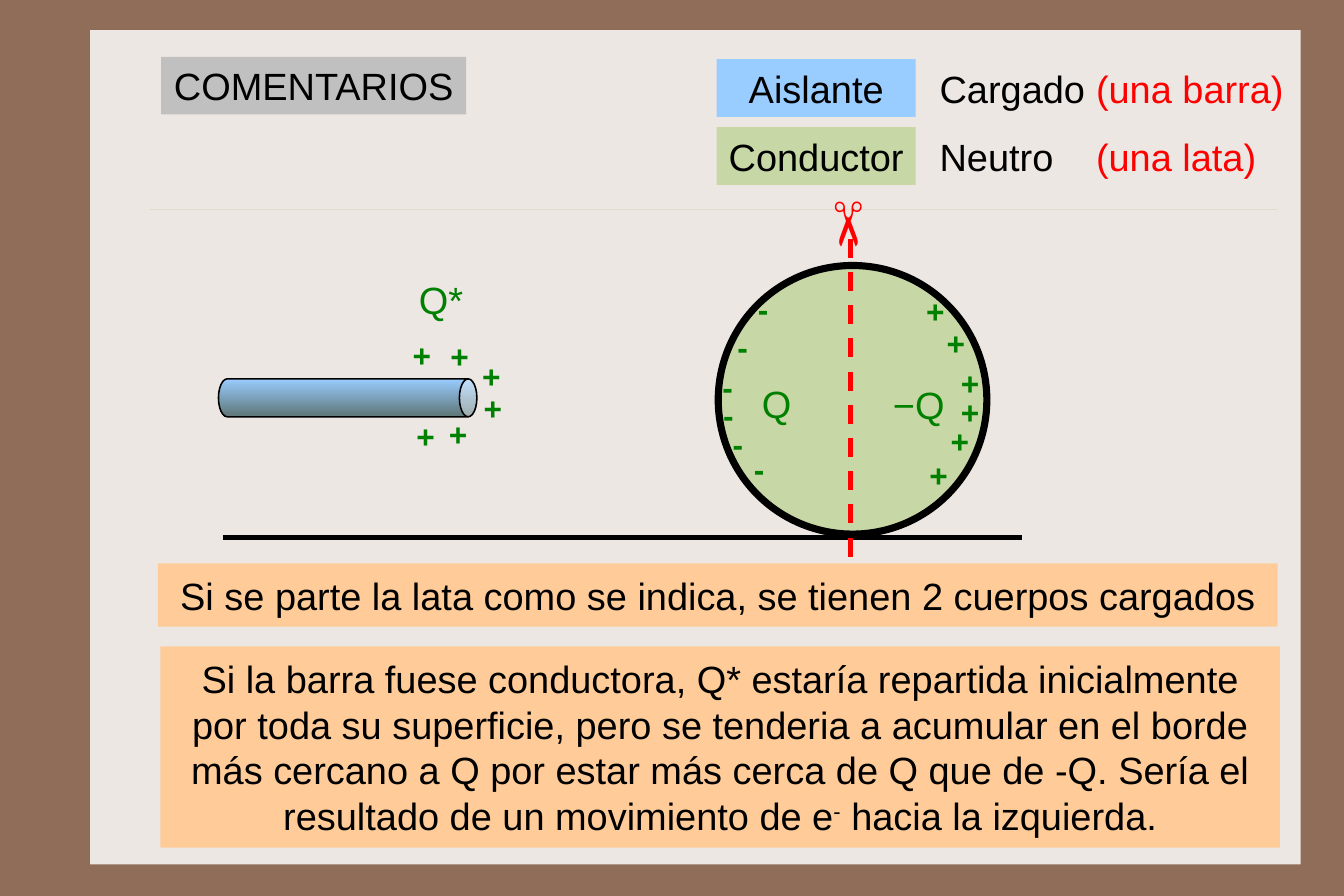
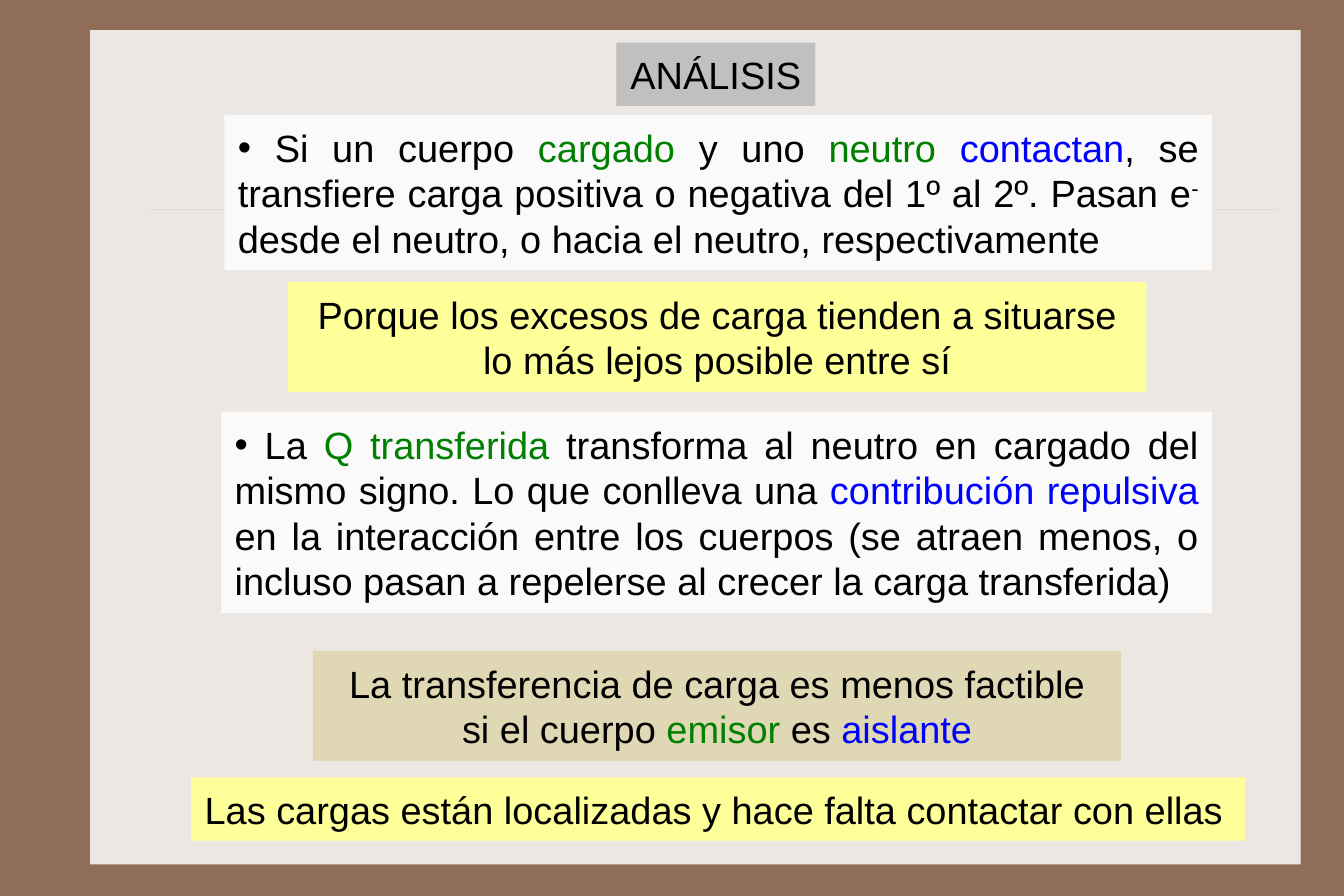
from lxml.etree import SubElement
from pptx import Presentation
from pptx.dml.color import RGBColor
from pptx.enum.dml import MSO_LINE_DASH_STYLE as Dash
from pptx.enum.shapes import MSO_CONNECTOR as Connector, MSO_SHAPE as Preset
from pptx.enum.text import MSO_ANCHOR as Anchor, PP_ALIGN as Align
from pptx.oxml.ns import qn
from pptx.util import Pt

BLACK = RGBColor(0x00, 0x00, 0x00)
RED = RGBColor(0xFF, 0x00, 0x00)
GREEN = RGBColor(0x00, 0x80, 0x00)
BLUE = RGBColor(0x00, 0x00, 0xFF)
BROWN = RGBColor(0x90, 0x6D, 0x58)
PANEL = RGBColor(0xED, 0xE7, 0xE3)
RULE = RGBColor(0xCB, 0xBD, 0x83)
GREY = RGBColor(0xC0, 0xC0, 0xC0)
INSULATOR = RGBColor(0x99, 0xCC, 0xFF)
INSULATOR_SHADE = RGBColor(0x5E, 0x76, 0x76)
CONDUCTOR = RGBColor(0xC7, 0xD7, 0xA5)
ORANGE = RGBColor(0xFF, 0xCC, 0x99)
WHITE = RGBColor(0xFA, 0xFA, 0xFA)
YELLOW = RGBColor(0xFF, 0xFF, 0x99)
SAND = RGBColor(0xE0, 0xD7, 0xB5)

FONT = "Arial"
SIZE = 24
SUPER = "super"

ROD_CHARGES = [(254, 209), (278, 209.5), (298, 222.5),
               (299, 242.5), (277, 259), (256.5, 260)]
NEAR_CHARGES = [(472.5, 180), (459.5, 204), (450, 229),
                (450.5, 247), (456.5, 265.5), (470, 281)]
FAR_CHARGES = [(579, 181.5), (592, 201.5), (601, 227),
               (601, 245), (594.5, 263.5), (581, 285)]


def write(shape, *paragraphs, size=SIZE, color=BLACK, bold=False, align=Align.LEFT,
          anchor=Anchor.MIDDLE, inset=(8.5, 5.5), wrap=True, bullet=False, tab=None):
    frame = shape.text_frame
    frame.word_wrap = wrap
    frame.vertical_anchor = anchor
    frame.margin_left = frame.margin_right = Pt(inset[0])
    frame.margin_top = frame.margin_bottom = Pt(inset[1])
    for index, pieces in enumerate(paragraphs):
        paragraph = frame.paragraphs[0] if index == 0 else frame.add_paragraph()
        paragraph.alignment = align
        properties = paragraph._p.get_or_add_pPr()
        if bullet:
            properties.set("marL", "0")
            properties.set("indent", "0")
            SubElement(properties, qn("a:buFont")).set("typeface", FONT)
            SubElement(properties, qn("a:buChar")).set("char", "•")
        if tab:
            stops = SubElement(properties, qn("a:tabLst"))
            SubElement(stops, qn("a:tab"), pos=str(Pt(tab)), algn="l")
        for piece in [pieces] if isinstance(pieces, str) else pieces:
            words, style = (piece, color) if isinstance(piece, str) else piece
            run = paragraph.add_run()
            run.text = words
            run.font.name = FONT
            run.font.size = Pt(size)
            run.font.bold = bold
            run.font.color.rgb = color if style == SUPER else style
            if style == SUPER:
                run._r.get_or_add_rPr().set("baseline", "30000")


class Deck:
    def __init__(self, width, height):
        self.presentation = Presentation()
        self.presentation.slide_width = Pt(width)
        self.presentation.slide_height = Pt(height)
        self.slide = None

    def new_slide(self):
        self.slide = self.presentation.slides.add_slide(self.presentation.slide_layouts[6])
        background = self.slide.background.fill
        background.solid()
        background.fore_color.rgb = BROWN
        self.shape((57, 19, 766, 528), PANEL)
        self.line((94.5, 132.5), (808, 132.5), RULE, 0.25, opacity=40)

    def shape(self, box, fill, preset=Preset.RECTANGLE, outline=None):
        shape = self.slide.shapes.add_shape(preset, *map(Pt, box))
        shape.shadow.inherit = False
        shape.fill.solid()
        shape.fill.fore_color.rgb = fill
        if outline:
            shape.line.color.rgb = BLACK
            shape.line.width = Pt(outline)
        else:
            shape.line.fill.background()
        return shape

    def panel(self, box, fill, *paragraphs, align=Align.CENTER, **style):
        write(self.shape(box, fill), *paragraphs, align=align, **style)

    def label(self, box, *paragraphs, rotation=0, wrap=False, anchor=Anchor.TOP, **style):
        label = self.slide.shapes.add_textbox(*map(Pt, box))
        label.rotation = rotation
        write(label, *paragraphs, wrap=wrap, anchor=anchor, inset=(7.2, 3.6), **style)

    def charges(self, sign, width, corners):
        for left, top in corners:
            self.label((left, top, width, 36), sign, size=20, color=GREEN, bold=True)

    def line(self, start, end, color, width, dash=None, opacity=100):
        line = self.slide.shapes.add_connector(Connector.STRAIGHT, *map(Pt, start + end))
        line.line.color.rgb = color
        line.line.width = Pt(width)
        if dash:
            line.line.dash_style = dash
        if opacity < 100:
            tint = line.element.spPr.find(".//" + qn("a:srgbClr"))
            SubElement(tint, qn("a:alpha")).set("val", str(opacity * 1000))
        SubElement(line.element.spPr, qn("a:effectLst"))

    def rod(self, box):
        rod = self.shape(box, INSULATOR, Preset.CAN, outline=1)
        rod.rotation = 90
        rod.adjustments[0] = 0.46
        rod.fill.gradient()
        rod.fill.gradient_angle = 0
        for stop, color in zip(rod.fill.gradient_stops, (INSULATOR, INSULATOR_SHADE)):
            stop.color.rgb = color

    def save(self):
        self.presentation.save("out.pptx")


def comments(deck):
    deck.new_slide()
    deck.rod((208, 170, 24, 163.5))
    deck.charges("+", 28, ROD_CHARGES)
    deck.shape((454.5, 168, 170, 170), CONDUCTOR, Preset.OVAL, outline=4.5)
    deck.charges("+", 28, FAR_CHARGES)
    deck.charges("-", 22, NEAR_CHARGES)
    deck.panel((100, 356.5, 708.5, 40), ORANGE,
               "Si se parte la lata como se indica, se tienen 2 cuerpos cargados")
    deck.label((475, 237, 34, 31), "Q", color=GREEN)
    deck.label((558, 238, 52, 31), "−Q", color=GREEN)
    deck.label((258, 171.5, 46, 31), "Q*", color=GREEN)
    deck.line((141, 340), (646.5, 340), BLACK, 3)

    legend = [("Aislante", INSULATOR, "Cargado", "(una barra)"),
              ("Conductor", CONDUCTOR, "Neutro", "(una lata)")]
    for row, (material, fill, state, example) in enumerate(legend):
        top = 37.5 + 43 * row
        deck.panel((453.5, top, 126, 36.5), fill, material, wrap=False)
        deck.label((587.5, top, 236, 36.5), [state + "\t", (example, RED)],
                   wrap=True, anchor=Anchor.MIDDLE, tab=99)

    deck.panel((101.5, 409, 708.5, 127.5), ORANGE,
               ["Si la barra fuese conductora, Q* estaría repartida inicialmente por toda "
                "su superficie, pero se tenderia a acumular en el borde más cercano a Q por "
                "estar más cerca de Q que de -Q. Sería el resultado de un movimiento de e",
                ("-", SUPER), " hacia la izquierda."])
    deck.line((538, 151), (538, 355), RED, 3, Dash.DASH)
    deck.panel((102, 36, 193, 36.5), GREY, "COMENTARIOS", inset=(4.3, 3.6))
    deck.label((527, 122.5, 37.5, 31), "✂", size=32, color=RED, rotation=90)


def analysis(deck):
    deck.new_slide()
    deck.panel((390, 27, 126, 40), GREY, "ANÁLISIS", wrap=False)
    deck.panel((142, 72.5, 625, 98.5), WHITE,
               [" Si un cuerpo ", ("cargado", GREEN), " y uno ", ("neutro ", GREEN),
                ("contactan", BLUE),
                ", se transfiere carga positiva o negativa del 1º al 2º. Pasan e",
                ("-", SUPER), " desde el neutro, o hacia el neutro, respectivamente"],
               align=Align.JUSTIFY, bullet=True)
    deck.panel((182, 178.5, 543.5, 69.5), YELLOW,
               "Porque los excesos de carga tienden a situarse lo más lejos posible entre sí")
    deck.panel((140, 260.5, 627, 127.5), WHITE,
               [" La ", ("Q transferida", GREEN),
                " transforma al neutro en cargado del mismo signo. Lo que conlleva una ",
                ("contribución repulsiva", BLUE),
                " en la interacción entre los cuerpos (se atraen menos, o incluso pasan a "
                "repelerse al crecer la carga transferida)"],
               align=Align.JUSTIFY, bullet=True)
    deck.panel((198, 412, 511.5, 69.5), SAND,
               "La transferencia de carga es menos factible",
               ["si el cuerpo ", ("emisor", GREEN), " es ", ("aislante", BLUE)])
    deck.panel((121, 492, 667, 40), YELLOW,
               "Las cargas están localizadas y hace falta contactar con ellas",
               align=Align.LEFT)


def main():
    deck = Deck(850.5, 567)
    comments(deck)
    analysis(deck)
    deck.save()


if __name__ == "__main__":
    main()
